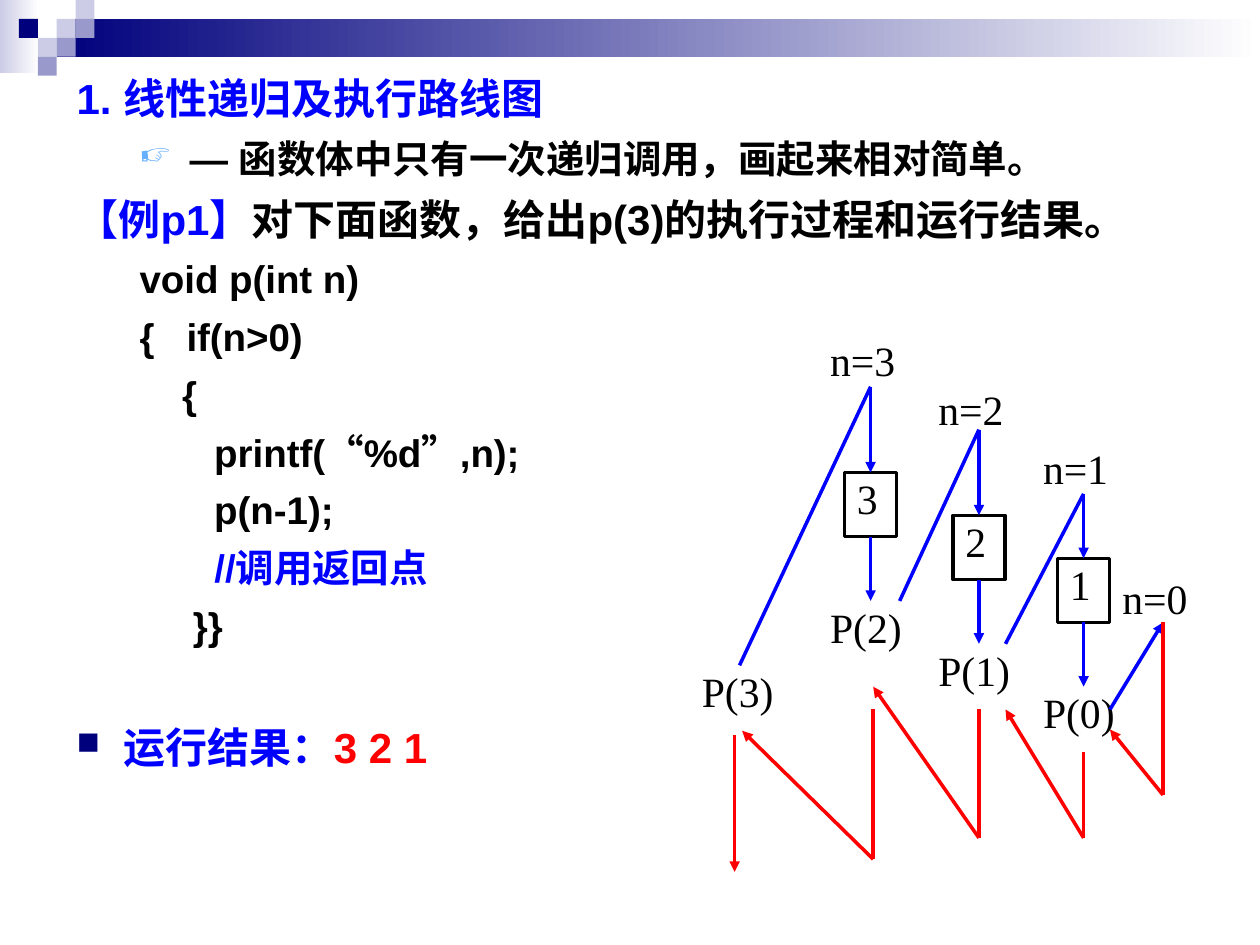
from lxml import etree
from pptx import Presentation
from pptx.dml.color import RGBColor
from pptx.enum import shapes, text
from pptx.oxml import ns
from pptx.util import Pt

COLORS = {"navy": "00007D", "lilac": "CCCCE6", "violet": "9999CC", "white": "FFFFFF",
          "blue": "0000FF", "red": "FF0000", "black": "000000", "sky": "67AFFF"}
SANS, CJK, SERIF = "Arial", "Noto Sans CJK SC", "Times New Roman"
CODE = ["void p(int n)", "{   if(n>0)", "    {",
        [("       printf(", "black", SANS), ("“", "black", CJK), ("%d", "black", SANS),
         ("”", "black", CJK), (",n);", "black", SANS)],
        "       p(n-1);", [("       ", "black", SANS), ("//调用返回点", "blue", SANS)], "     }}"]


def rgb(name):
    """Return the named colour."""
    return RGBColor.from_string(COLORS[name])


def add_block(page, left, top, width, height, color, fade=None):
    """Add a borderless rectangle, solid or fading to the right."""
    block = page.shapes.add_shape(shapes.MSO_SHAPE.RECTANGLE,
                                  Pt(left), Pt(top), Pt(width), Pt(height))
    block.shadow.inherit = False
    block.line.fill.background()
    if fade:
        block.fill.gradient()
        block.fill.gradient_angle = 0
        for stop, name, place in zip(block.fill.gradient_stops, (color, fade), (0, 1)):
            stop.color.rgb, stop.position = rgb(name), place
    else:
        block.fill.solid()
        block.fill.fore_color.rgb = rgb(color)


def add_banner(page, left, top, width, height):
    """Draw the fading bars and the checkered corner."""
    unit = height / 4
    add_block(page, left, top, 22.3, 41.8, "lilac", "white")
    add_block(page, left + 3 * unit, top + unit, width - 3 * unit, 2 * unit, "navy", "white")
    for column, row, color in [(3, 1, "lilac"), (4, 0, "lilac"), (4, 1, "violet"),
                               (2, 2, "lilac"), (1, 1, "navy"), (3, 2, "violet"),
                               (2, 3, "violet")]:
        add_block(page, left + column * unit, top + row * unit, unit, unit, color)


def add_para(frame, spans, size, before, margin, indent, bullet=None):
    """Append a bold paragraph of coloured spans with an optional bullet."""
    first = not frame.paragraphs[0].runs
    para = frame.paragraphs[0] if first else frame.add_paragraph()
    props = para._p.get_or_add_pPr()
    props.set("marL", str(Pt(margin)))
    props.set("indent", str(Pt(indent)))
    if bullet:
        mark, color, percent = bullet
        tint = etree.SubElement(props, ns.qn("a:buClr"))
        etree.SubElement(tint, ns.qn("a:srgbClr")).set("val", COLORS[color])
        etree.SubElement(props, ns.qn("a:buSzPct")).set("val", str(percent * 1000))
        etree.SubElement(props, ns.qn("a:buChar")).set("char", mark)
    para.space_before = Pt(0 if first else before)
    para.font.size, para.font.bold = Pt(size), True
    for words, color, face in spans:
        span = para.add_run()
        span.text = words
        span.font.size, span.font.bold = Pt(size), True
        span.font.name, span.font.color.rgb = face, rgb(color)
        east = etree.SubElement(span.font._element, ns.qn("a:ea"))
        east.set("typeface", SANS)


def add_lesson(page, left, top, width, height):
    """Write the heading, the example code and its output."""
    box = page.shapes.add_textbox(Pt(left), Pt(top), Pt(width), Pt(height))
    frame = box.text_frame
    frame.word_wrap = True
    add_para(frame, [("1. 线性递归及执行路线图", "blue", SANS)], 24, 0, 27, -27)
    add_para(frame, [(" ", "black", SANS), ("— ", "black", CJK),
                     ("函数体中只有一次递归调用，画起来相对简单。", "black", SANS)],
             22, 6.6, 58.5, -22.5, ("☞", "sky", 80))
    add_para(frame, [("【例p1】", "blue", SANS),
                     ("对下面函数，给出p(3)的执行过程和运行结果。", "black", SANS)],
             24, 7.2, 27, -27)
    for line in CODE:
        spans = [(line, "black", SANS)] if isinstance(line, str) else line
        add_para(frame, spans, 22, 6.6, 58.5, -22.5)
    add_para(frame, [("运行结果：", "blue", SANS), ("3 2 1", "red", SANS)],
             24, 42, 27, -27, ("■", "navy", 75))


def set_label(shape, words):
    """Put serif words at the top left of a shape."""
    frame = shape.text_frame
    frame.word_wrap = True
    frame.vertical_anchor = text.MSO_ANCHOR.TOP
    para = frame.paragraphs[0]
    para.text, para.alignment, para.line_spacing = words, text.PP_ALIGN.JUSTIFY, 0.9
    para.font.name, para.font.size = SERIF, Pt(23.8)
    para.font.color.rgb = rgb("black")


def add_label(page, left, top, words):
    """Add a call or argument label."""
    set_label(page.shapes.add_textbox(Pt(left), Pt(top), Pt(60.5), Pt(36.7)), words)


def add_line(page, start, end, color, arrow=False):
    """Draw a straight line, with an arrowhead at its end if asked."""
    line = page.shapes.add_connector(shapes.MSO_CONNECTOR.STRAIGHT,
                                     *(Pt(value) for value in (*start, *end)))
    line.line.color.rgb, line.line.width = rgb(color), Pt(2)
    if arrow:
        etree.SubElement(line.line._get_or_add_ln(), ns.qn("a:tailEnd")).set("type", "triangle")
    etree.SubElement(line._element.spPr, ns.qn("a:effectLst"))
    return line


def add_call(page, number, center, top, label_top, apex, foot):
    """Draw one call: argument, printed value and the next call."""
    side = 36.7
    add_label(page, center - 30.25, label_top, f"n={number}")
    add_line(page, foot, (center, apex), "blue")
    box = page.shapes.add_shape(shapes.MSO_SHAPE.RECTANGLE,
                                Pt(center - 14.9), Pt(top), Pt(29.8), Pt(side))
    box.shadow.inherit = False
    box.fill.background()
    box.line.color.rgb, box.line.width = rgb("black"), Pt(2)
    set_label(box, str(number))
    entry = add_line(page, (center, apex), (center, top), "blue", True)
    entry.end_connect(box, 0)
    leave = add_line(page, (center, top + side), (center, top + 2 * side), "blue", True)
    leave.begin_connect(box, 2)
    add_label(page, center - 30.25, top + 2 * side, f"P({number - 1})")


def add_route(page, left, top, width, height):
    """Draw the descending calls in blue and the returns in red."""
    def at(x, y):
        return left + x, top + y

    add_label(page, *at(0, 190.2), "P(3)")
    for step, (center, label, apex, foot) in enumerate([
            (103.5, 0.8, 31, (28.6, 190.2)), (165.4, 28.9, 55.5, (120.1, 153.4)),
            (225.2, 62.7, 92.2, (180.6, 177.9))]):
        add_call(page, 3 - step, left + center, top + 80 + 24.5 * step,
                 top + label, top + apex, at(*foot))
    add_label(page, *at(240.3, 136.9), "n=0")
    add_line(page, at(240.3, 215.4), at(270.6, 165.7), "blue", True)
    for x, start, turn, end in [(270.6, 165.7, 264.3, (240.3, 226.9)),
                                (225.2, 239.8, 288.8, (180.6, 215.4)),
                                (165.4, 215.4, 288.8, (105, 202.4)),
                                (105, 215.4, 301, (30.1, 227.6))]:
        add_line(page, at(x, start), at(x, turn), "red")
        add_line(page, at(x, turn), at(*end), "red", True)
    add_line(page, at(25.8, 229.8), at(25.8, height), "red", True)


def main():
    """Build and save the deck."""
    deck = Presentation()
    deck.slide_width, deck.slide_height = Pt(720), Pt(540)
    page = deck.slides.add_slide(deck.slide_layouts[6])
    add_banner(page, 0, 0, 720, 43.2)
    add_lesson(page, 36.7, 38, 648, 474)
    add_route(page, 394, 190, 301, 308.2)
    deck.save("out.pptx")


if __name__ == "__main__":
    main()
